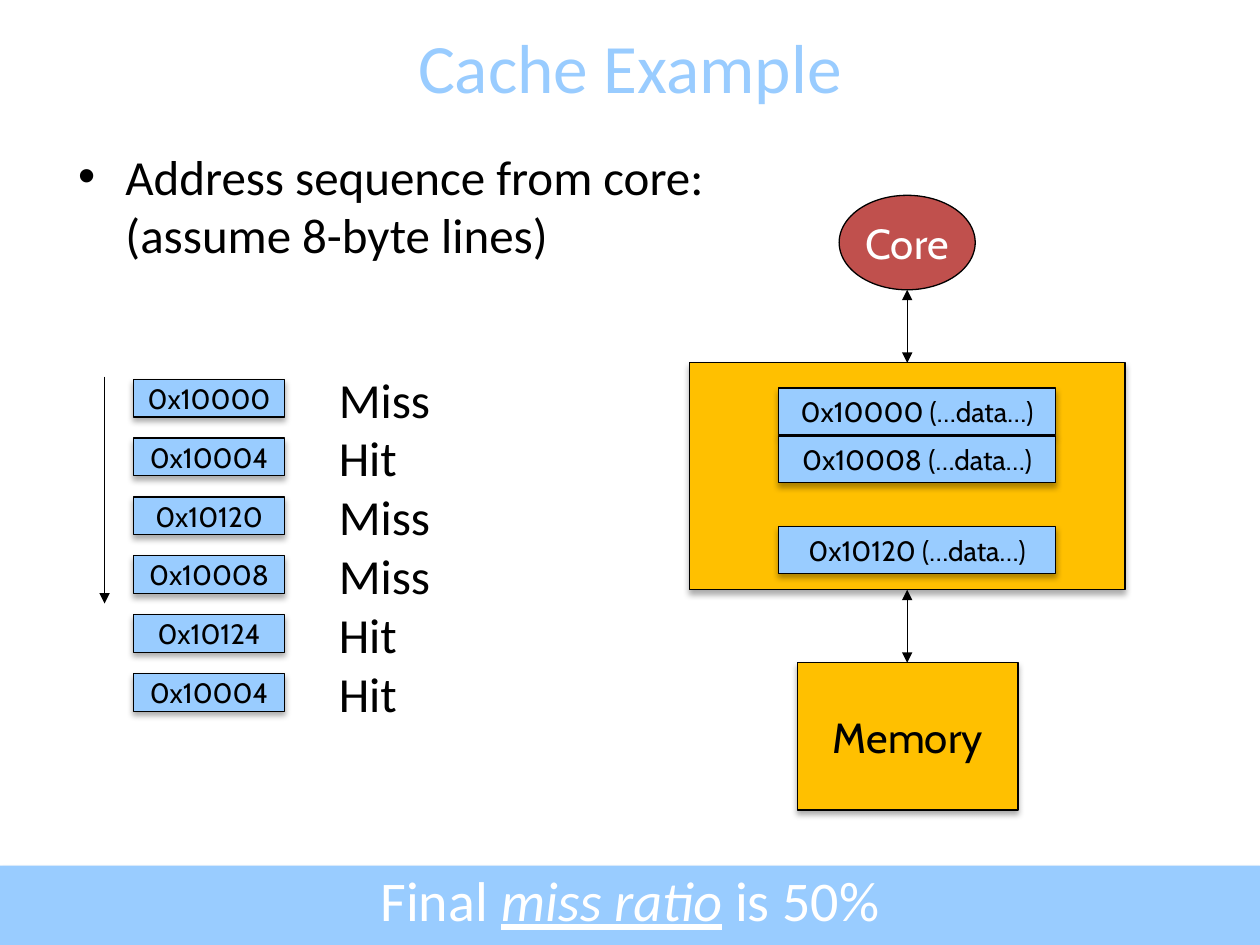
from pptx import Presentation
from pptx.dml.color import RGBColor
from pptx.enum.shapes import MSO_CONNECTOR, MSO_SHAPE
from pptx.enum.text import MSO_ANCHOR, MSO_AUTO_SIZE, PP_ALIGN
from pptx.oxml import parse_xml
from pptx.oxml.ns import nsdecls
from pptx.util import Inches, Pt

RECT, OVAL = MSO_SHAPE.RECTANGLE, MSO_SHAPE.OVAL
LEFT, CENTER = PP_ALIGN.LEFT, PP_ALIGN.CENTER
TOP, MIDDLE = MSO_ANCHOR.TOP, MSO_ANCHOR.MIDDLE

# Content
TITLE = "Cache Example"
INTRO = "Address sequence from core:\v(assume 8-byte lines)"
ACCESSES = [("0x10000", "Miss"), ("0x10004", "Hit"), ("0x10120", "Miss"),
            ("0x10008", "Miss"), ("0x10124", "Hit"), ("0x10004", "Hit")]
CACHE_LINES = [("0x10000", 3.08), ("0x10008", 3.46), ("0x10120", 4.18)]
SUMMARY = [("Final ", False), ("miss ratio", True), (" is 50%", False)]

THEME = dict(sky="99CCFF", gold="FFC000", red="C0504D", black="000000", white="FFFFFF",
             body="Calibri", label="Cabin", title_size=39.6, summary_size=32,
             body_size=28, block_size=24, address_size=16, line=0.75)

ROW_TOP, ROW_STEP = 3.01, 0.467
AXIS_X = 7.2  # centre of the core, cache and memory column

prs = Presentation()
prs.slide_width, prs.slide_height = Inches(10), Inches(7.5)
s = prs.slides.add_slide(prs.slide_layouts[1])


def color(name):
    return RGBColor.from_string(THEME[name])


def write(tf, runs, size, font="body", ink="black", align=LEFT, anchor=TOP, wrap=True):
    """Fill a text frame with one paragraph; runs are (text, emphasis) pairs."""
    tf.word_wrap = wrap
    tf.auto_size = MSO_AUTO_SIZE.NONE
    tf.vertical_anchor = anchor
    p = tf.paragraphs[0]
    p.alignment = align
    for i, part in enumerate(runs):
        text, emphasis = part
        for j, line in enumerate(text.split("\v")):
            if j:
                p.add_line_break()
            r = p.add_run()
            r.text = line
            r.font.size, r.font.name = Pt(THEME[size]), THEME[font]
            r.font.color.rgb = color(ink)
            if emphasis:
                r.font.italic = r.font.underline = True


def place(sp, left, top, width, height):
    sp.left, sp.top = Inches(left), Inches(top)
    sp.width, sp.height = Inches(width), Inches(height)


def add_shadow(sp, blur=3.5, dist=2.2, alpha=32):
    effects = sp._element.spPr.find(
        "{http://schemas.openxmlformats.org/drawingml/2006/main}effectLst")
    effects.append(parse_xml(
        f'<a:outerShdw {nsdecls("a")} blurRad="{Pt(blur)}" dist="{Pt(dist)}" dir="5400000" '
        f'rotWithShape="0"><a:srgbClr val="{THEME["black"]}"><a:alpha val="{alpha * 1000}"/>'
        '</a:srgbClr></a:outerShdw>'))


def add_block(box, fill, text="", size="block_size", ink="black", kind=RECT,
              outline=True, shadow=True, wrap=False, **shadow_format):
    sp = s.shapes.add_shape(kind, *map(Inches, box))
    sp.shadow.inherit = False
    sp.fill.solid()
    sp.fill.fore_color.rgb = color(fill)
    if outline:
        sp.line.color.rgb, sp.line.width = color("black"), Pt(THEME["line"])
    else:
        sp.line.fill.background()
    if shadow:
        add_shadow(sp, **shadow_format)
    if text:
        write(sp.text_frame, [(text, False)], size, "label", ink, CENTER, MIDDLE, wrap)


def add_text(box, runs, size, **fmt):
    write(s.shapes.add_textbox(*map(Inches, box)).text_frame, runs, size, **fmt)


def add_arrow(x, top, bottom, both=True):
    c = s.shapes.add_connector(MSO_CONNECTOR.STRAIGHT, *map(Inches, (x, top, x, bottom)))
    c.line.color.rgb, c.line.width = color("black"), Pt(THEME["line"])
    ln = c.line._get_or_add_ln()
    for end in ("headEnd", "tailEnd") if both else ("tailEnd",):
        ln.append(parse_xml(f'<a:{end} {nsdecls("a")} type="triangle"/>'))
    c._element.spPr.append(parse_xml(f'<a:effectLst {nsdecls("a")}/>'))


# Title and introduction
title, intro = s.shapes.title, s.placeholders[1]
place(title, 0, 0.21, 10, 0.63)
write(title.text_frame, [(TITLE, False)], "title_size", ink="sky", align=CENTER, anchor=MIDDLE)
place(intro, 0.52, 1.11, 9, 5.56)
write(intro.text_frame, [(INTRO, False)], "body_size")

# Summary banner
add_block((0, 6.87, 10, 0.63), "sky", outline=False, blur=3.1, dist=1.8, alpha=35)
add_text((0, 6.82, 10, 0.63), SUMMARY, "summary_size", ink="white", align=CENTER)

# Core, cache and memory
add_block((5.47, 2.88, 3.46, 1.8), "gold")
add_block((6.33, 5.26, 1.75, 1.17), "gold", "Memory", wrap=True)
for address, top in CACHE_LINES:
    add_block((6.18, top, 2.2, 0.37), "sky", f"{address} (…data…)", "address_size")
add_block((6.66, 1.55, 1.08, 0.75), "red", "Core", ink="white", kind=OVAL, shadow=False)
add_arrow(AXIS_X, 2.3, 2.88)
add_arrow(AXIS_X, 4.68, 5.26)

# Address sequence with its outcomes
for i, (address, outcome) in enumerate(ACCESSES):
    top = ROW_TOP + i * ROW_STEP
    add_block((1.06, top, 1.2, 0.3), "sky", address, "address_size")
    add_text((2.59, top - 0.13, 1.15, 0.57), [(outcome, False)], "body_size")
add_arrow(0.83, 2.99, 4.79, both=False)

prs.save("out.pptx")
